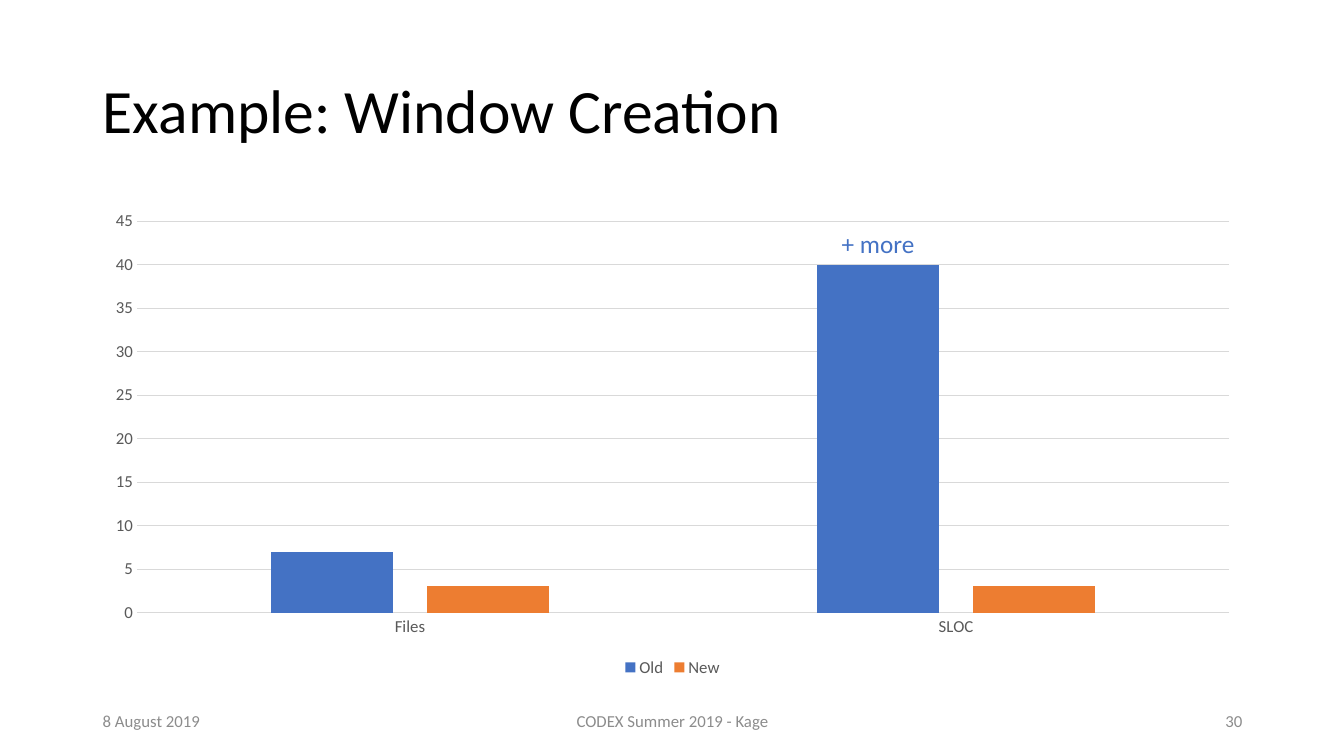
from dataclasses import dataclass

from pptx import Presentation
from pptx.chart.data import CategoryChartData
from pptx.dml.color import RGBColor
from pptx.enum.chart import XL_CHART_TYPE, XL_LEGEND_POSITION, XL_TICK_MARK
from pptx.enum.text import MSO_ANCHOR, MSO_AUTO_SIZE, PP_ALIGN
from pptx.util import Inches, Pt


@dataclass(frozen=True)
class Theme:
    font: str = "Calibri"
    black: str = "000000"
    label: str = "595959"
    grid: str = "D9D9D9"
    footer: str = "8C8C8C"
    old: str = "4472C4"
    new: str = "ED7D31"
    title_size: int = 44
    note_size: int = 18
    small_size: int = 12


class SlideBuilder:
    def __init__(self, slide, theme):
        self.slide = slide
        self.theme = theme

    def style(self, font, size, color):
        font.name = self.theme.font
        font.size = Pt(size)
        font.bold = False
        font.color.rgb = RGBColor.from_string(color)

    def title(self, text, left, top, width, height):
        sp = self.slide.shapes.title
        sp.left, sp.top = Inches(left), Inches(top)
        sp.width, sp.height = Inches(width), Inches(height)
        tf = sp.text_frame
        tf.word_wrap = True
        tf.auto_size = MSO_AUTO_SIZE.NONE
        tf.vertical_anchor = MSO_ANCHOR.MIDDLE
        p = tf.paragraphs[0]
        p.text = text
        p.alignment = PP_ALIGN.LEFT
        p.line_spacing = 0.9
        self.style(p.font, self.theme.title_size, self.theme.black)

    def text(self, text, left, top, width, height, size, color,
             align=PP_ALIGN.LEFT, anchor=MSO_ANCHOR.MIDDLE, wrap=True):
        sp = self.slide.shapes.add_textbox(
            Inches(left), Inches(top), Inches(width), Inches(height))
        tf = sp.text_frame
        tf.word_wrap = wrap
        tf.auto_size = MSO_AUTO_SIZE.NONE if wrap else MSO_AUTO_SIZE.SHAPE_TO_FIT_TEXT
        tf.vertical_anchor = anchor
        p = tf.paragraphs[0]
        p.text = text
        p.alignment = align
        self.style(p.font, size, color)

    def line(self, fmt):
        fmt.line.color.rgb = RGBColor.from_string(self.theme.grid)
        fmt.line.width = Pt(0.75)

    def column_chart(self, categories, series, left, top, width, height):
        data = CategoryChartData()
        data.categories = categories
        for name, values, _ in series:
            data.add_series(name, values)
        chart = self.slide.shapes.add_chart(
            XL_CHART_TYPE.COLUMN_CLUSTERED, Inches(left), Inches(top),
            Inches(width), Inches(height), data).chart
        self.style(chart.font, self.theme.small_size, self.theme.label)
        chart.has_title = False
        chart.has_legend = True
        chart.legend.position = XL_LEGEND_POSITION.BOTTOM
        chart.legend.include_in_layout = False
        self.style(chart.legend.font, self.theme.small_size, self.theme.label)

        for axis in (chart.category_axis, chart.value_axis):
            axis.major_tick_mark = XL_TICK_MARK.NONE
            axis.minor_tick_mark = XL_TICK_MARK.NONE
            self.style(axis.tick_labels.font, self.theme.small_size, self.theme.label)
        self.line(chart.category_axis.format)
        chart.value_axis.format.line.fill.background()
        chart.value_axis.minimum_scale = 0
        chart.value_axis.maximum_scale = 45
        chart.value_axis.major_unit = 5
        self.line(chart.value_axis.major_gridlines.format)

        plot = chart.plots[0]
        plot.vary_by_categories = False
        plot.gap_width = 219
        plot.overlap = -27
        for bars, (_, _, color) in zip(plot.series, series):
            bars.format.fill.solid()
            bars.format.fill.fore_color.rgb = RGBColor.from_string(color)


def main():
    prs = Presentation()
    prs.slide_width, prs.slide_height = Inches(13.33), Inches(7.5)
    theme = Theme()
    s = SlideBuilder(prs.slides.add_slide(prs.slide_layouts[5]), theme)

    s.title("Example: Window Creation", 0.92, 0.4, 11.5, 1.45)
    s.column_chart(
        ["Files", "SLOC"],
        [("Old", (7, 40), theme.old), ("New", (3, 3), theme.new)],
        0.92, 2, 11.5, 4.76)
    for text, left, width, align in (
            ("8 August 2019", 0.92, 3, PP_ALIGN.LEFT),
            ("CODEX Summer 2019 - Kage", 4.42, 4.5, PP_ALIGN.CENTER),
            ("30", 9.42, 3, PP_ALIGN.RIGHT)):
        s.text(text, left, 6.95, width, 0.4, theme.small_size, theme.footer, align)
    s.text("+ more", 8.25, 2.22, 0.94, 0.4, theme.note_size, theme.old,
           anchor=MSO_ANCHOR.TOP, wrap=False)
    prs.save("out.pptx")


if __name__ == "__main__":
    main()
